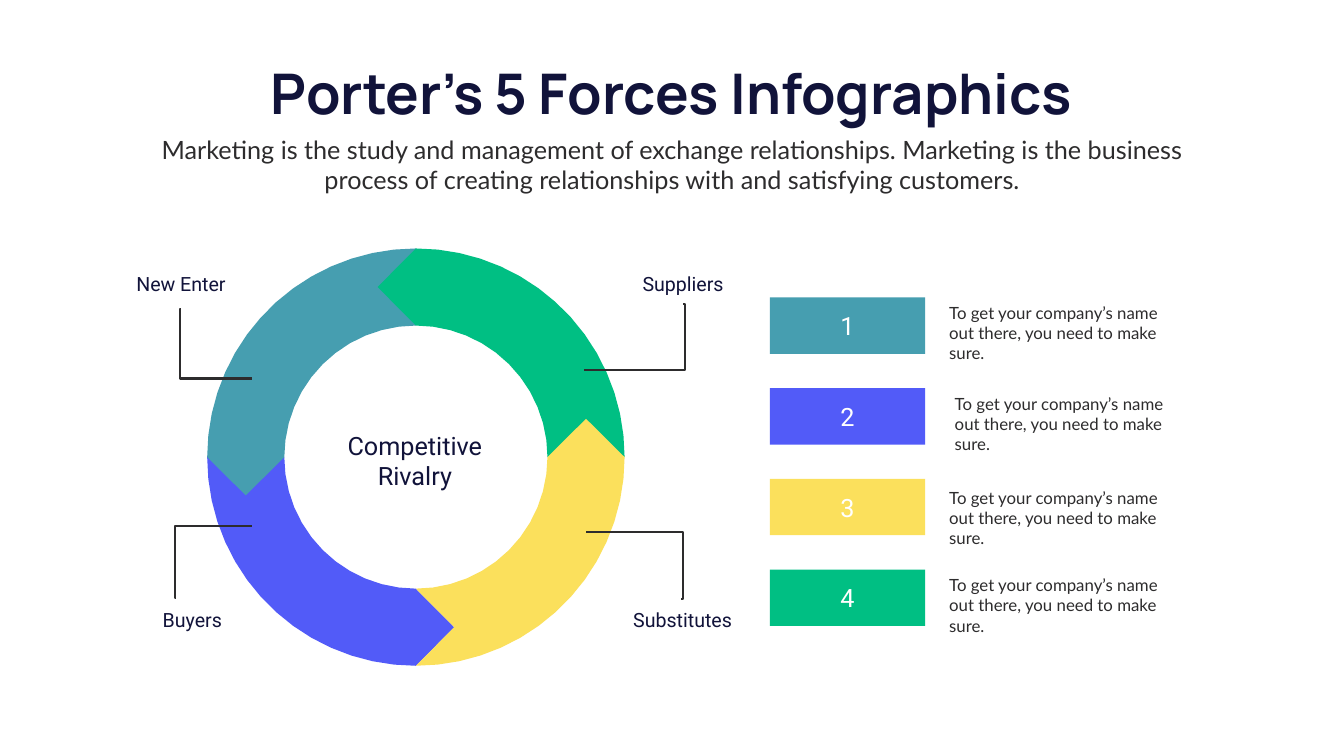
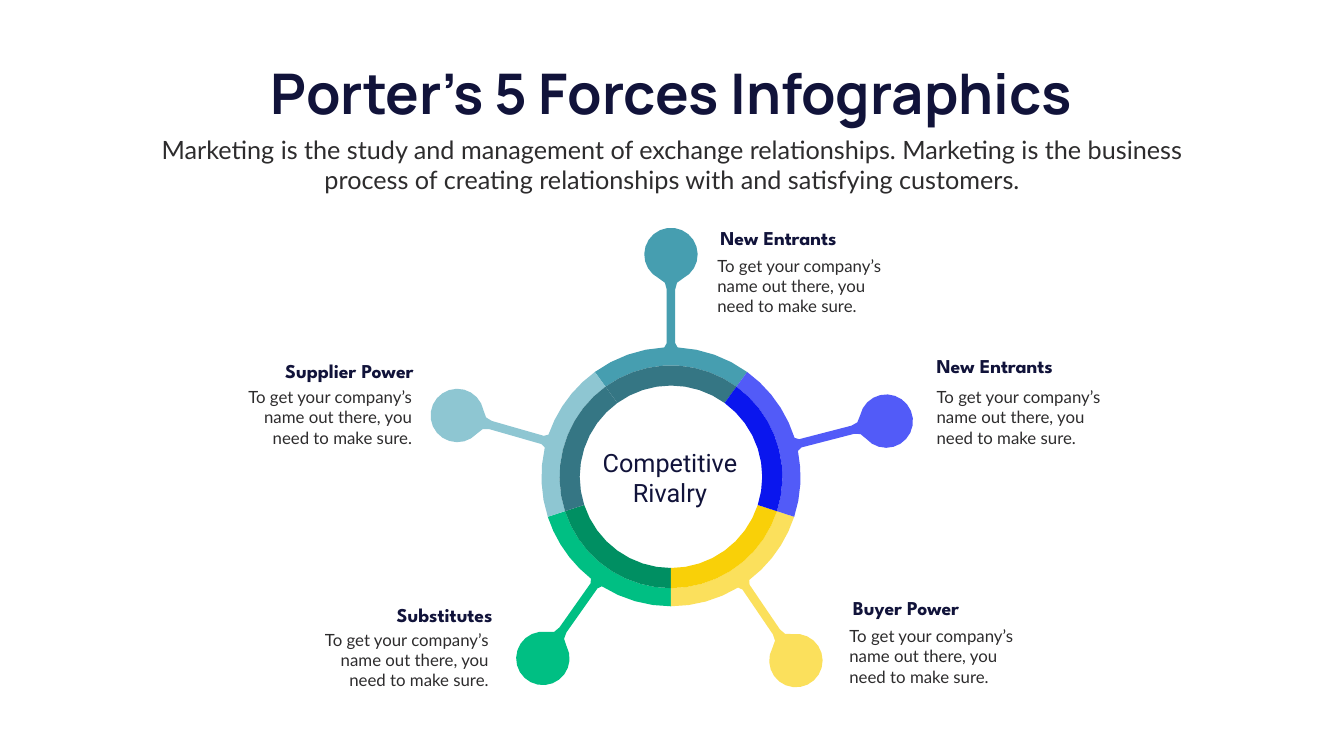
from math import atan2, cos, hypot, pi, radians, sin, sqrt

from pptx import Presentation
from pptx.dml.color import RGBColor
from pptx.enum.shapes import MSO_CONNECTOR, MSO_SHAPE
from pptx.enum.text import MSO_AUTO_SIZE, PP_ALIGN
from pptx.oxml.ns import qn
from pptx.util import Inches, Pt
from lxml import etree

LEFT, CENTER, RIGHT = PP_ALIGN.LEFT, PP_ALIGN.CENTER, PP_ALIGN.RIGHT
ELBOW, RECTANGLE = MSO_CONNECTOR.ELBOW, MSO_SHAPE.RECTANGLE
GROW = MSO_AUTO_SIZE.SHAPE_TO_FIT_TEXT

NAVY = RGBColor(0x11, 0x13, 0x3A)
INK = RGBColor(0x2D, 0x2C, 0x2D)
WHITE = RGBColor(0xFF, 0xFF, 0xFF)
TEAL = RGBColor(0x46, 0x9E, 0xB0)
DARK_TEAL = RGBColor(0x35, 0x76, 0x84)
LIGHT_TEAL = RGBColor(0x8E, 0xC6, 0xD2)
BLUE = RGBColor(0x52, 0x5B, 0xF8)
DARK_BLUE = RGBColor(0x0A, 0x16, 0xEE)
GREEN = RGBColor(0x00, 0xBF, 0x83)
DARK_GREEN = RGBColor(0x00, 0x8F, 0x62)
YELLOW = RGBColor(0xFB, 0xE0, 0x5C)
DARK_YELLOW = RGBColor(0xF9, 0xD0, 0x08)

# Text styles: font, size, colour, bold
TITLE = ("Manrope", 80, NAVY, True)
SUBTITLE = ("Lato", 36, INK, False)
BODY = ("Lato", 24, INK, False)
HUB = ("Roboto", 36, NAVY, False)
NUMBER = ("Roboto", 36, WHITE, False)
LABEL = ("Roboto", 28, NAVY, False)
HEADING = ("League Spartan", 28, NAVY, True)

# Content
TITLE_TEXT = "Porter's 5 Forces Infographics"
SUBTITLE_TEXT = ("Marketing is the study and management of exchange relationships. "
                 "Marketing is the business process of creating relationships with "
                 "and satisfying customers.")
HUB_TEXT = "Competitive Rivalry"
BODY_TEXT = "To get your company’s name out there, you need to make sure."

# Ring arrows, back to front: colour, start angle, notched tail
ARROWS = [(BLUE, 180, False), (TEAL, 90, False), (GREEN, 0, False), (YELLOW, 270, True)]

# Callouts: text, left, top, alignment, line start, line end, bend
CALLOUTS = [
    ("Suppliers", 11.92, 5.35, CENTER, (13.55, 6.03), (11.59, 7.35), -0.023),
    ("New Enter", 1.96, 5.35, CENTER, (3.59, 6.14), (4.99, 7.51), -0.017),
    ("Substitutes", 11.91, 12.02, CENTER, (13.51, 11.89), (11.63, 10.55), -0.018),
    ("Buyers", 1.24, 12.02, RIGHT, (3.48, 11.86), (4.99, 10.43), -0.008),
]

# Numbered bars: colour, left and top of the text beside the bar
BARS = [(TEAL, 18.73, 5.95), (BLUE, 18.84, 7.76), (YELLOW, 18.73, 9.62), (GREEN, 18.73, 11.36)]

# Forces: name, colours, ring start, pin angle, heading box, body left and top, alignment
FORCES = [
    ("Substitutes", GREEN, DARK_GREEN, 198, 234.8, (6.84, 11.91, 3.03), (6, 12.44), RIGHT),
    ("New Entrants", TEAL, DARK_TEAL, 54, 90, (14.19, 4.43, 3.03), (14.13, 5.02), LEFT),
    ("Supplier Power", LIGHT_TEAL, DARK_TEAL, 126, 164, (4.72, 7.08, 3.58), (4.48, 7.63), RIGHT),
    ("Buyer Power", YELLOW, DARK_YELLOW, 270, 304.2, (16.82, 11.77, 3.79), (16.75, 12.37), LEFT),
    ("New Entrants", BLUE, DARK_BLUE, -18, 14.5, (18.48, 6.98, 3.03), (18.48, 7.63), LEFT),
]


def add_text(slide, text, style, left, top, width, height, align=LEFT, wrap=True):
    box = slide.shapes.add_textbox(Inches(left), Inches(top), Inches(width), Inches(height))
    frame = box.text_frame
    frame.word_wrap = wrap
    frame.auto_size = GROW
    paragraph = frame.paragraphs[0]
    paragraph.alignment = align
    run = paragraph.add_run()
    run.text = text
    font = run.font
    font.name, size, font.color.rgb, font.bold = style
    font.size = Pt(size)


def paint(shape, colour):
    shape.shadow.inherit = False
    shape.fill.solid()
    shape.fill.fore_color.rgb = colour
    shape.line.fill.background()


def add_outline(slide, points, colour):
    corners = [(Inches(x), Inches(y)) for x, y in points]
    builder = slide.shapes.build_freeform(*corners[0])
    builder.add_line_segments(corners[1:], close=True)
    paint(builder.convert_to_shape(), colour)


def polar(center, radius, angle):
    """Point at a counter-clockwise angle in degrees."""
    turn = radians(angle)
    return center[0] + radius * cos(turn), center[1] - radius * sin(turn)


def arc(center, radius, start, end):
    """Points along an arc, with wider steps on smaller circles."""
    steps = max(2, round(abs(end - start) * sqrt(radius) / 12))
    return [polar(center, radius, start + (end - start) * i / steps) for i in range(steps + 1)]


def from_axis(center, angle, along, across):
    """Point given along and across a ray from the centre."""
    offset = atan2(across, along) * 180 / pi
    return polar(center, hypot(along, across), angle + offset)


def new_slide(presentation):
    slide = presentation.slides.add_slide(presentation.slide_layouts[6])
    add_text(slide, TITLE_TEXT, TITLE, 4.72, 1.12, 17.21, 1.45, CENTER, wrap=False)
    add_text(slide, SUBTITLE_TEXT, SUBTITLE, 2.92, 2.61, 20.82, 1.31, CENTER)
    return slide


def add_callout_line(slide, start, end, bend):
    ends = [Inches(value) for value in (*start, *end)]
    line = slide.shapes.add_connector(ELBOW, *ends)
    line.line.color.rgb = INK
    line.line.width = Pt(3)
    properties = line._element.spPr
    guides = properties.find(qn("a:prstGeom")).find(qn("a:avLst"))
    etree.SubElement(guides, qn("a:gd"), name="adj1", fmla=f"val {round(bend * 100000)}")
    etree.SubElement(properties, qn("a:effectLst"))


def build_arrow_ring(presentation):
    slide = new_slide(presentation)

    # Ring of four arrows
    center, outer, inner, tip = (8.25, 9.07), 4.14, 2.61, 0.76
    middle = (outer + inner) / 2
    for colour, start, notched in ARROWS:
        end = start + 90
        points = arc(center, outer, start, end)
        points.append(from_axis(center, end, middle, tip))
        points += arc(center, inner, end, start)
        if notched:
            points.append(from_axis(center, start, middle, tip))
        add_outline(slide, points, colour)
    add_text(slide, HUB_TEXT, HUB, 6.6, 8.49, 3.26, 1.31, CENTER)

    # Callouts
    for text, left, top, align, start, end, bend in CALLOUTS:
        add_text(slide, text, LABEL, left, top, 3.26, 0.57, align)
        add_callout_line(slide, start, end, bend)

    # Numbered bars with text
    bar_left, bar_width, bar_height, first_top, pitch = 15.27, 3.08, 1.12, 5.9, 1.8
    for index, (colour, text_left, text_top) in enumerate(BARS):
        top = first_top + index * pitch
        bar = slide.shapes.add_shape(RECTANGLE, Inches(bar_left), Inches(top),
                                     Inches(bar_width), Inches(bar_height))
        paint(bar, colour)
        add_text(slide, str(index + 1), NUMBER, bar_left + (bar_width - 2) / 2,
                 top + 0.21, 2, 0.71, CENTER)
        add_text(slide, BODY_TEXT, BODY, text_left, text_top, 4.9, 0.91)


def pin_points(center, ring_radius, angle):
    """Stem and round head, from the clockwise side to the other."""
    distance, head_radius, neck = 4.41, 0.53, 27
    side = [(ring_radius, 0.13), (ring_radius + 0.08, 0.085), (3.72, 0.085), (3.85, 0.12)]
    head = polar(center, distance, angle)
    points = [from_axis(center, angle, along, -across) for along, across in side]
    points += arc(head, head_radius, angle - 180 + neck, angle + 180 - neck)
    return points + [from_axis(center, angle, along, across) for along, across in reversed(side)]


def build_pin_ring(presentation):
    slide = new_slide(presentation)

    # Two-tone ring with a pin on each fifth
    center, outer, middle, inner = (13.31, 9.46), 2.57, 2.21, 1.81
    stem_angle = 3
    for _, colour, dark, start, pin, *_ in FORCES:
        end = start + 72
        points = arc(center, outer, start, pin - stem_angle)
        points += pin_points(center, outer, pin)
        points += arc(center, outer, pin + stem_angle, end)
        points += arc(center, middle, end, start)
        add_outline(slide, points, colour)
        add_outline(slide, arc(center, middle, start, end) + arc(center, inner, end, start), dark)
    add_text(slide, HUB_TEXT, HUB, 11.66, 8.83, 3.26, 1.31, CENTER)

    # Heading and text of each force
    for name, *_, heading, body, align in FORCES:
        add_text(slide, name, HEADING, *heading, 0.57, align)
        add_text(slide, BODY_TEXT, BODY, *body, 3.79, 1.31, align)


def main():
    presentation = Presentation()
    presentation.slide_width = Inches(26.66)
    presentation.slide_height = Inches(15)
    build_arrow_ring(presentation)
    build_pin_ring(presentation)
    presentation.save("out.pptx")


if __name__ == "__main__":
    main()
